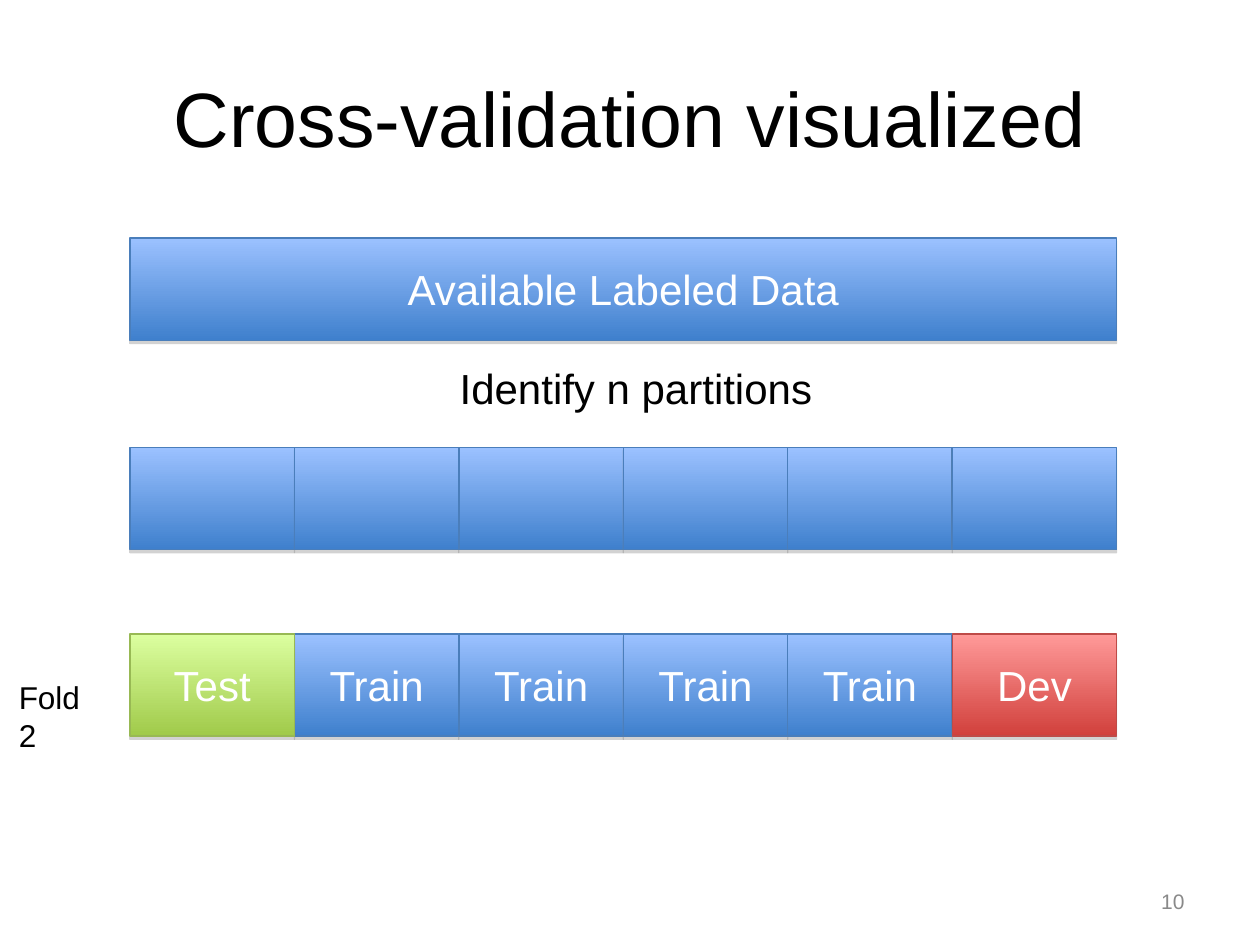
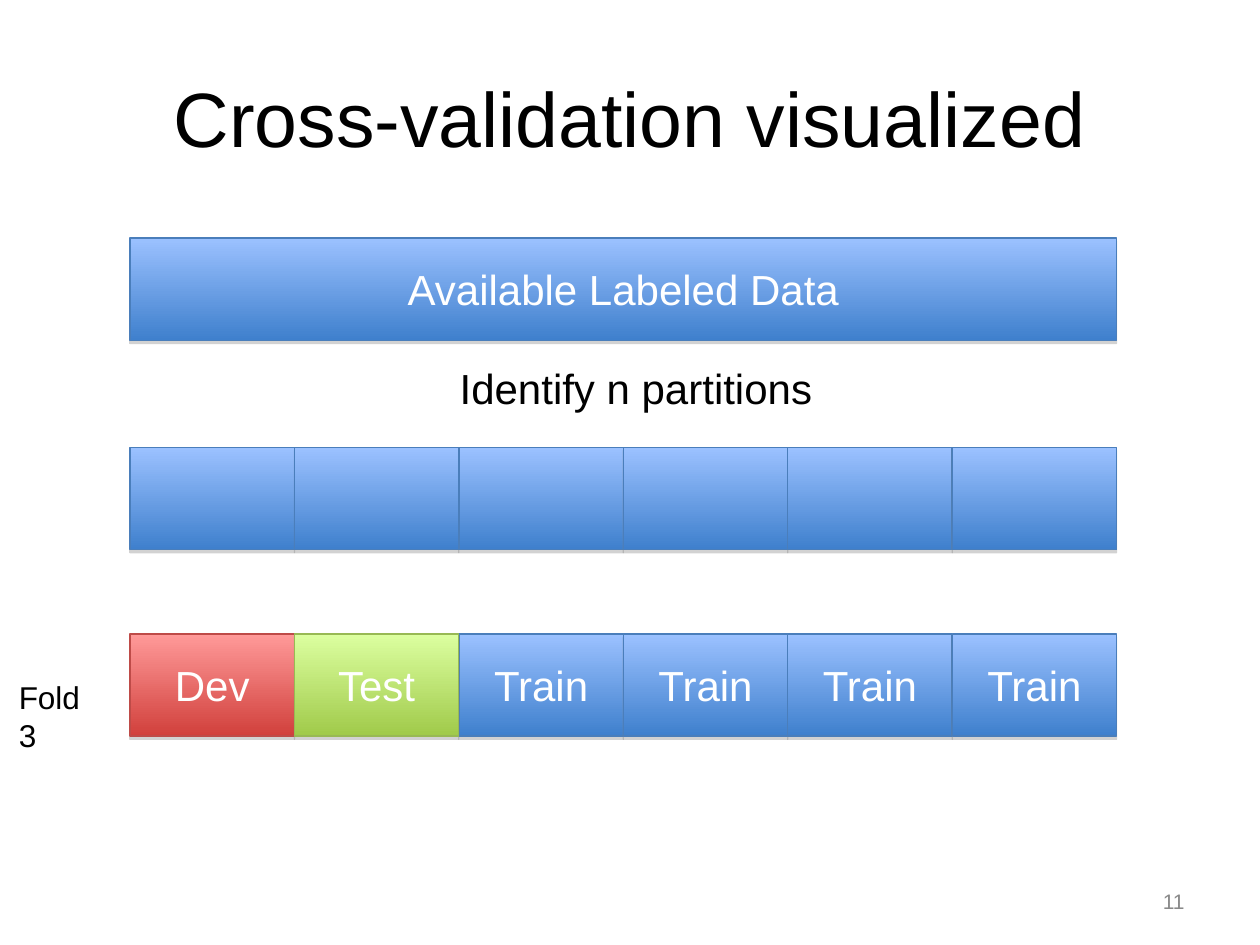
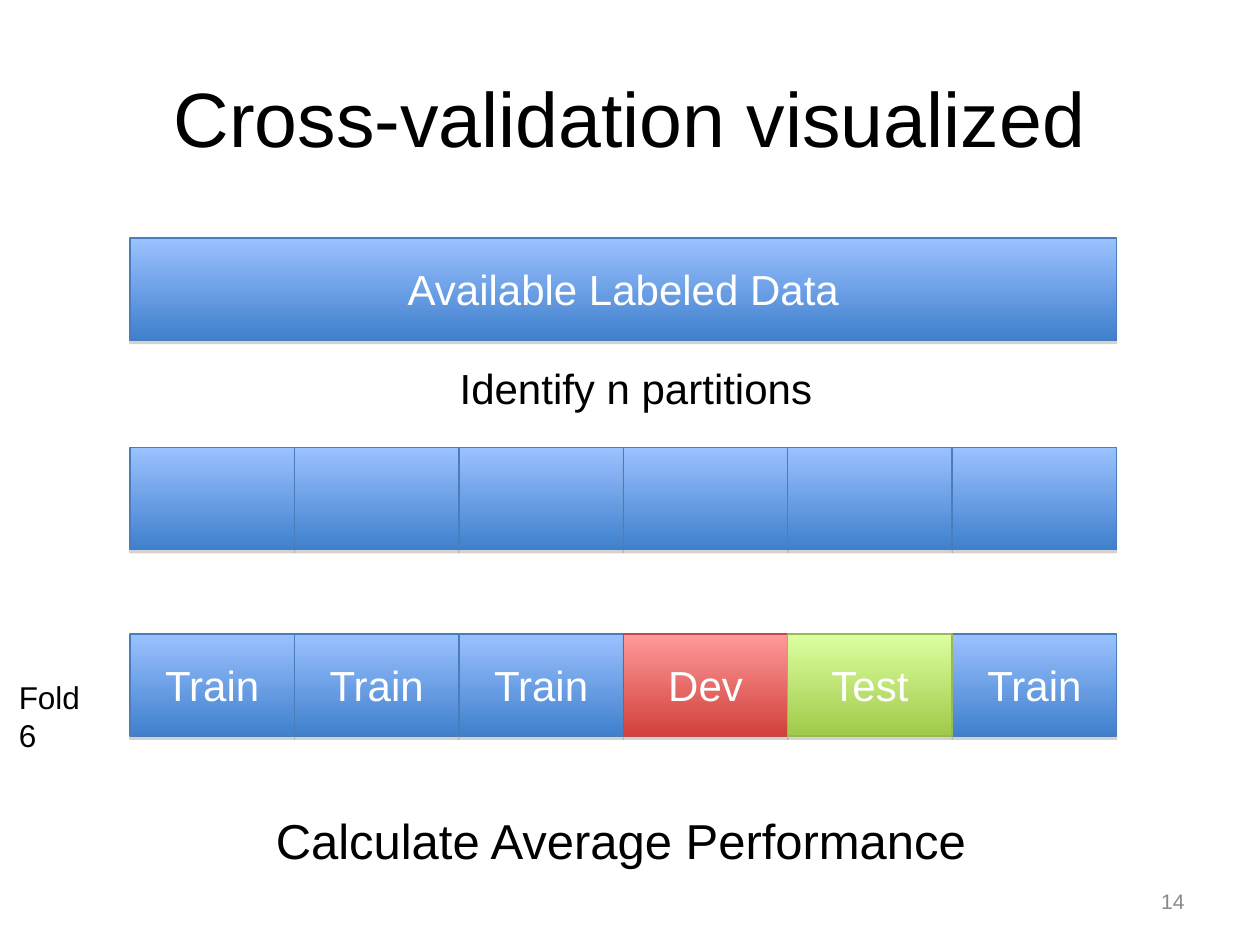
from dataclasses import dataclass

from lxml.etree import SubElement
from pptx import Presentation
from pptx.dml.color import RGBColor
from pptx.enum.shapes import MSO_SHAPE
from pptx.enum.text import MSO_ANCHOR, PP_ALIGN
from pptx.oxml.ns import qn
from pptx.util import Cm, Pt

TITLE_ONLY = 5
PARTITIONS = 6
BAR_LEFT, BAR_WIDTH, BAR_HEIGHT = Cm(2.62), Cm(19.89), Cm(2.06)
DATA_TOP, PARTITIONS_TOP, FOLD_TOP = Cm(4.8), Cm(9.02), Cm(12.78)


@dataclass(frozen=True)
class Role:
    top: str
    bottom: str
    outline: str


@dataclass(frozen=True)
class Theme:
    font: str = "Arial"
    ink: str = "000000"
    white: str = "FFFFFF"
    page_grey: str = "898989"
    shadow: str = "808080"
    train: Role = Role("9BC1FF", "3F80CD", "4A7EBB")
    dev: Role = Role("FF9A99", "D1403C", "BE4B48")
    test: Role = Role("DCFFA0", "A0CA4A", "98B954")
    title_size: int = 44
    conclusion_size: int = 28
    body_size: int = 24
    fold_size: int = 18
    page_size: int = 12


THEME = Theme()


def write(shape, text, size, color, align=PP_ALIGN.CENTER, anchor=MSO_ANCHOR.MIDDLE):
    frame = shape.text_frame
    frame.text = text
    frame.vertical_anchor = anchor
    paragraph = frame.paragraphs[0]
    paragraph.alignment = align
    for run in paragraph.runs:
        run.font.name = THEME.font
        run.font.size = Pt(size)
        run.font.color.rgb = RGBColor.from_string(color)


def add_title(slide, text):
    title = slide.shapes.title
    title.left, title.top = Cm(1.27), Cm(0.76)
    title.width, title.height = Cm(22.86), Cm(3.18)
    write(title, text, THEME.title_size, THEME.ink)


def add_label(slide, text, box, size, color=THEME.ink, align=PP_ALIGN.LEFT,
              anchor=MSO_ANCHOR.TOP, wrap=True):
    label = slide.shapes.add_textbox(*box)
    label.text_frame.word_wrap = wrap
    write(label, text, size, color, align, anchor)


def add_drop_shadow(shape):
    shape.shadow.inherit = False
    effects = shape._element.spPr.find(qn("a:effectLst"))
    drop = SubElement(effects, qn("a:outerShdw"), blurRad="0", dist=str(Pt(1.8)),
                      dir="5400000", rotWithShape="0")
    color = SubElement(drop, qn("a:srgbClr"), val=THEME.shadow)
    SubElement(color, qn("a:alpha"), val="35000")


def add_block(slide, left, top, width, role, text=""):
    block = slide.shapes.add_shape(MSO_SHAPE.RECTANGLE, left, top, width, BAR_HEIGHT)
    block.fill.gradient()
    block.fill.gradient_angle = 270
    for stop, color in zip(block.fill.gradient_stops, (role.top, role.bottom)):
        stop.color.rgb = RGBColor.from_string(color)
    block.line.color.rgb = RGBColor.from_string(role.outline)
    block.line.width = Pt(0.75)
    add_drop_shadow(block)
    if text:
        write(block, text, THEME.body_size, THEME.white)


def add_partition(slide, index, top, role, text=""):
    width = BAR_WIDTH / PARTITIONS
    add_block(slide, round(BAR_LEFT + index * width), top, round(width), role, text)


def add_fold(slide, fold):
    """Draw one fold; the dev and test partitions move right by one each fold."""
    dev, test = (fold - 3) % PARTITIONS, (fold - 2) % PARTITIONS
    for index in range(PARTITIONS):
        if index not in (dev, test):
            add_partition(slide, index, FOLD_TOP, THEME.train, "Train")
    add_partition(slide, dev, FOLD_TOP, THEME.dev, "Dev")
    add_partition(slide, test, FOLD_TOP, THEME.test, "Test")
    add_label(slide, f"Fold {fold}", (Cm(0.13), Cm(13.54), Cm(2.26), Cm(1.02)),
              THEME.fold_size, wrap=False)


def add_fold_slide(deck, page, fold):
    slide = deck.slides.add_slide(deck.slide_layouts[TITLE_ONLY])
    add_title(slide, "Cross-validation visualized")
    add_label(slide, str(page), (Cm(18.21), Cm(17.65), Cm(5.92), Cm(1.02)),
              THEME.page_size, THEME.page_grey, PP_ALIGN.RIGHT, MSO_ANCHOR.MIDDLE)
    add_block(slide, BAR_LEFT, DATA_TOP, BAR_WIDTH, THEME.train, "Available Labeled Data")
    for index in range(PARTITIONS):
        add_partition(slide, index, PARTITIONS_TOP, THEME.train)
    add_label(slide, "Identify n partitions", (Cm(7.42), Cm(7.19), Cm(10.8), Cm(1.27)),
              THEME.body_size, align=PP_ALIGN.CENTER)
    add_fold(slide, fold)
    return slide


def main():
    deck = Presentation()
    deck.slide_width, deck.slide_height = Cm(25.4), Cm(19.05)
    add_fold_slide(deck, page=10, fold=2)
    add_fold_slide(deck, page=11, fold=3)
    last_fold = add_fold_slide(deck, page=14, fold=6)
    add_label(last_fold, "Calculate Average Performance",
              (Cm(5.31), Cm(16.21), Cm(14.48), Cm(1.45)), THEME.conclusion_size, wrap=False)
    deck.save("out.pptx")


if __name__ == "__main__":
    main()
